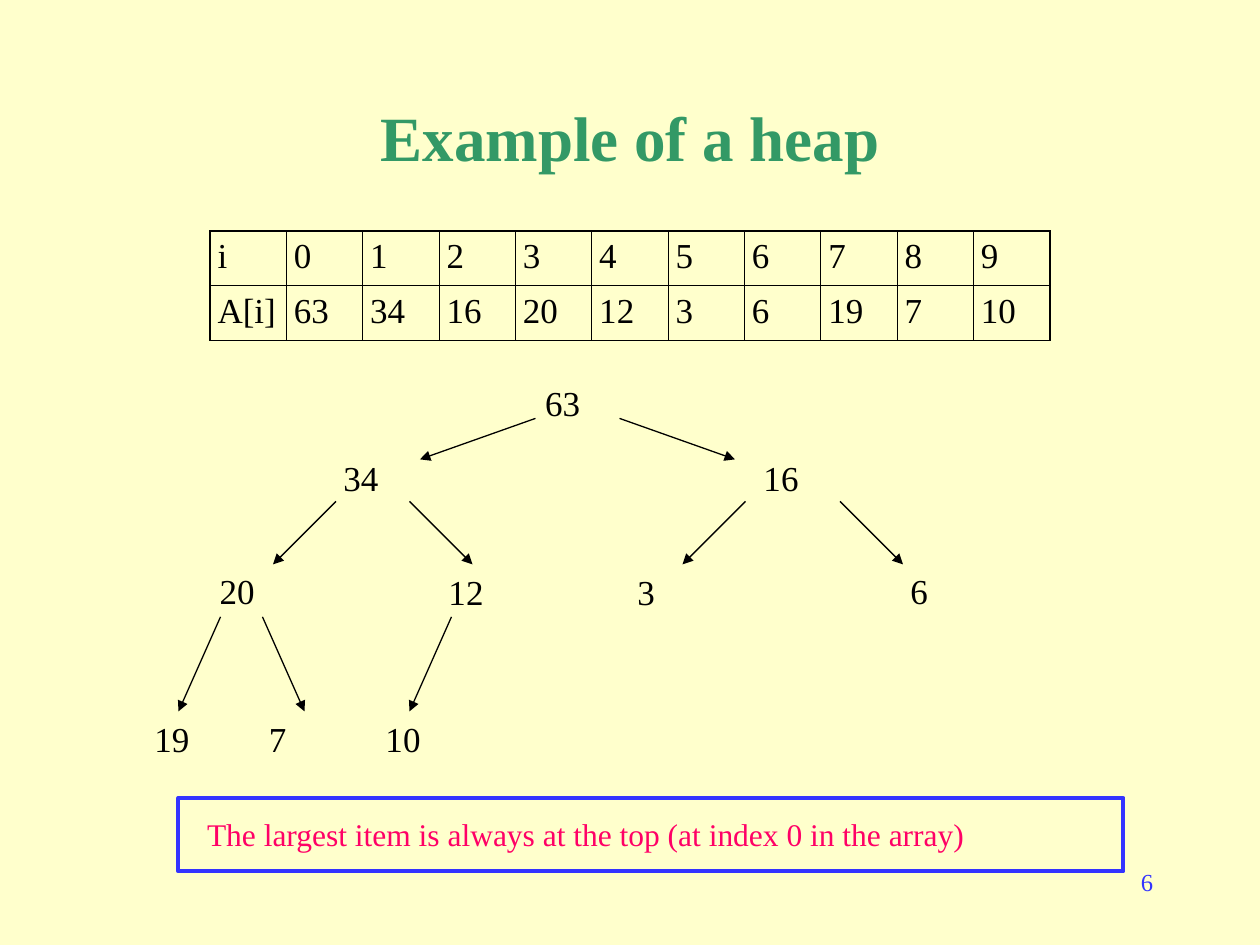
from dataclasses import dataclass

from lxml.etree import SubElement
from pptx import Presentation
from pptx.dml.color import RGBColor
from pptx.enum.shapes import MSO_CONNECTOR, MSO_SHAPE
from pptx.enum.text import MSO_ANCHOR, PP_ALIGN
from pptx.oxml.ns import qn
from pptx.util import Inches, Pt


@dataclass(frozen=True)
class Theme:
    font: str = "Times New Roman"
    background: str = "FFFFCC"
    title: str = "339966"
    ink: str = "000000"
    accent: str = "3333FF"
    note: str = "FF0066"
    title_size: int = 36
    body_size: int = 20
    note_size: int = 18
    number_size: int = 14
    thin: float = 0.45
    thick: float = 1.08
    arrow: float = 0.75
    frame: float = 2.25


THEME = Theme()
# The slide is a grid of 120 columns by 90 rows
COLUMNS, ROWS = 120, 90
WIDTH, HEIGHT = Inches(10), Inches(7.5)

INDEXES = ["i", *map(str, range(10))]
VALUES = ["A[i]", "63", "34", "16", "20", "12", "3", "6", "19", "7", "10"]

# Column, row and width of each heap node within the tree, in array order
NODES = [
    (37.2, 0, 4.8), (18, 7.1, 4.8), (58, 7.1, 4.8), (6.2, 17.9, 4.8),
    (28, 18, 4.8), (46, 18, 3.1), (72, 17.9, 3.1),
    (0, 32, 4.8), (10.9, 32, 3.1), (22, 32, 4.8),
]
# For each tree level: start row, end row, and (start, end) columns of its arrows
BRANCHES = [
    (4.1, 8, [(37, 26), (45, 56)]),
    (12, 18, [(18, 12), (25, 31), (57, 51), (66, 72)]),
    (23, 32, [(7, 3), (11, 15), (29, 25)]),
]


def across(columns):
    return round(WIDTH * columns / COLUMNS)


def down(rows):
    return round(HEIGHT * rows / ROWS)


def place(box):
    left, top, width, height = box
    return across(left), down(top), across(width), down(height)


def apply(target, values):
    for name, value in values.items():
        setattr(target, name, value)


def write(paragraph, text, size, color, bold=False):
    run = paragraph.add_run()
    run.text = text
    apply(run.font, {"name": THEME.font, "size": Pt(size), "bold": bold})
    run.font.color.rgb = RGBColor.from_string(color)


def add_text(slide, box, text, size, color, bold=False, align=PP_ALIGN.LEFT,
             anchor=MSO_ANCHOR.TOP, wrap=True, side=0.06):
    frame = slide.shapes.add_textbox(*place(box)).text_frame
    apply(frame, {
        "word_wrap": wrap, "vertical_anchor": anchor,
        "margin_left": Inches(side), "margin_right": Inches(side),
        "margin_top": Inches(0.05), "margin_bottom": Inches(0.05),
    })
    paragraph = frame.paragraphs[0]
    paragraph.alignment = align
    write(paragraph, text, size, color, bold)


def add_border(cell, side, width):
    line = SubElement(cell._tc.get_or_add_tcPr(), qn(f"a:ln{side}"), w=str(Pt(width)))
    fill = SubElement(line, qn("a:solidFill"))
    SubElement(fill, qn("a:srgbClr"), val=THEME.ink)


def add_array(slide, box):
    rows = [INDEXES, VALUES]
    last_row, last_column = len(rows) - 1, len(INDEXES) - 1
    left, top, width, height = place(box)
    table = slide.shapes.add_table(len(rows), len(INDEXES), left, top, width, height).table
    apply(table, {"first_row": False, "horz_banding": False})
    for column in table.columns:
        column.width = round(width / len(INDEXES))
    for r, texts in enumerate(rows):
        table.rows[r].height = round(height / len(rows))
        for c, text in enumerate(texts):
            cell = table.cell(r, c)
            apply(cell, {
                "margin_left": Inches(0.06), "margin_right": Inches(0.06),
                "margin_top": Inches(0.05), "margin_bottom": Inches(0.05),
            })
            write(cell.text_frame.paragraphs[0], text, THEME.body_size, THEME.ink)
            # Thick lines outside, thin lines inside; borders precede the fill
            outer = {"L": c == 0, "R": c == last_column, "T": r == 0, "B": r == last_row}
            for side, is_outer in outer.items():
                add_border(cell, side, THEME.thick if is_outer else THEME.thin)
            cell.fill.background()


def add_arrow(slide, start, end):
    arrow = slide.shapes.add_connector(
        MSO_CONNECTOR.STRAIGHT, across(start[0]), down(start[1]), across(end[0]), down(end[1]))
    arrow.line.width = Pt(THEME.arrow)
    arrow.line.color.rgb = RGBColor.from_string(THEME.ink)
    SubElement(arrow.line._get_or_add_ln(), qn("a:tailEnd"), type="triangle")
    SubElement(arrow._element.spPr, qn("a:effectLst"))


def add_tree(slide, box):
    left, top = box[:2]
    # Nodes
    for text, (column, row, width) in zip(VALUES[1:], NODES):
        add_text(slide, (left + column, top + row, width, 5.2), text,
                 THEME.body_size, THEME.ink, wrap=False)
    # Arrows from parent to child
    for start_row, end_row, pairs in BRANCHES:
        for start, end in pairs:
            add_arrow(slide, (left + start, top + start_row), (left + end, top + end_row))


def add_note(slide, box):
    left, top, width, height = box
    add_text(slide, (left + 2, top + 1, width - 3, 4.8),
             "The largest item is always at the top (at index 0 in the array)",
             THEME.note_size, THEME.note)
    frame = slide.shapes.add_shape(MSO_SHAPE.RECTANGLE, *place(box))
    frame.shadow.inherit = False
    frame.fill.background()
    frame.line.width = Pt(THEME.frame)
    frame.line.color.rgb = RGBColor.from_string(THEME.accent)


def add_title(slide, box):
    add_text(slide, box, "Example of a heap", THEME.title_size, THEME.title, bold=True,
             align=PP_ALIGN.CENTER, anchor=MSO_ANCHOR.MIDDLE, side=0.1)


def add_number(slide, box):
    add_text(slide, box, "6", THEME.number_size, THEME.accent,
             align=PP_ALIGN.RIGHT, side=0.1)


def main():
    presentation = Presentation()
    apply(presentation, {"slide_width": WIDTH, "slide_height": HEIGHT})
    slide = presentation.slides.add_slide(presentation.slide_layouts[6])
    slide.background.fill.solid()
    slide.background.fill.fore_color.rgb = RGBColor.from_string(THEME.background)

    add_number(slide, (86, 82, 25, 6))
    add_title(slide, (9, 8, 102, 10))
    add_array(slide, (20, 22, 80, 10.4))
    add_tree(slide, (14, 35.75, 75, 37))
    add_note(slide, (17, 76, 90, 7))
    presentation.save("out.pptx")


if __name__ == "__main__":
    main()
